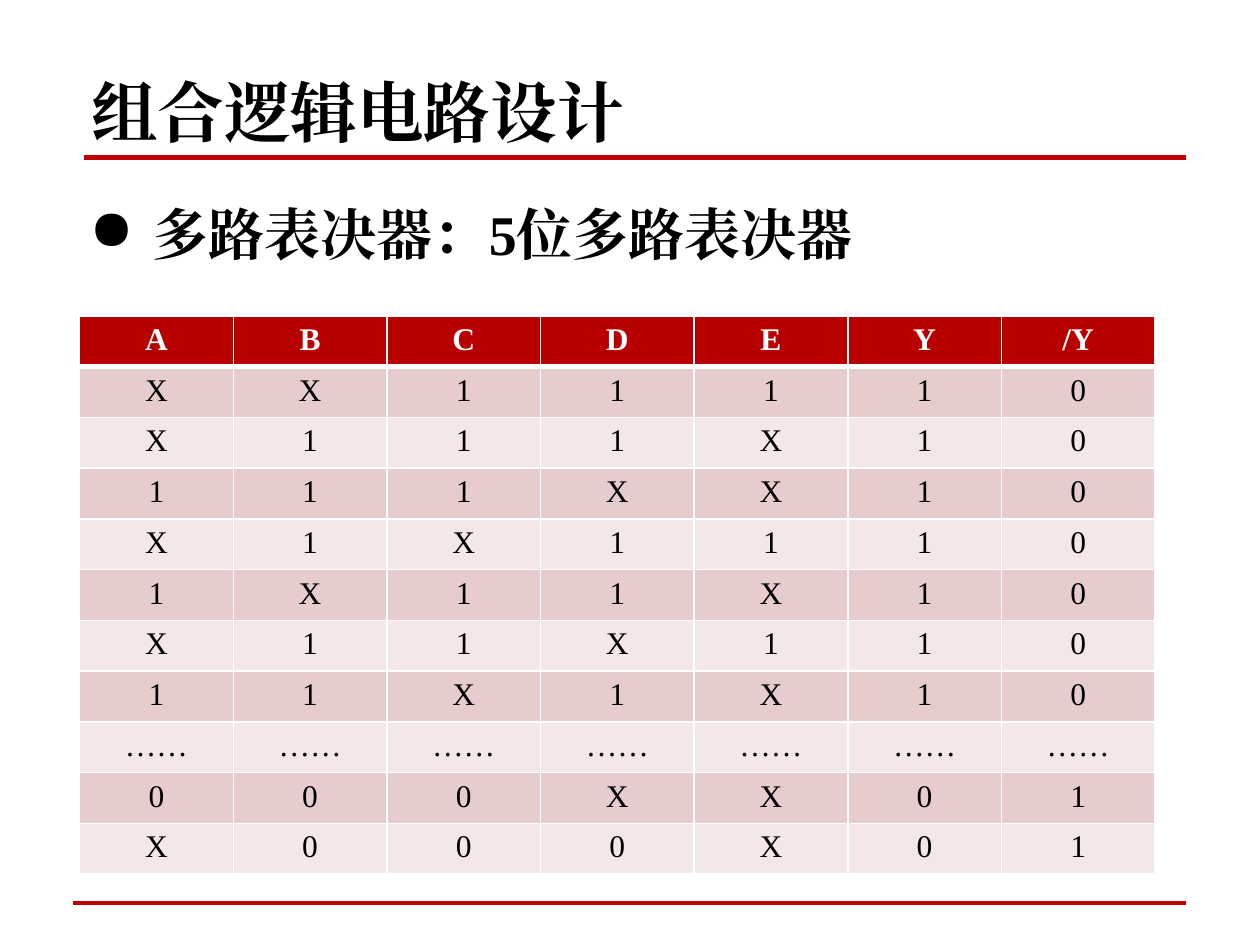
from dataclasses import dataclass

from lxml.etree import SubElement
from pptx import Presentation
from pptx.dml.color import RGBColor as Color
from pptx.enum.lang import MSO_LANGUAGE_ID as Language
from pptx.enum.shapes import MSO_CONNECTOR as Connector
from pptx.enum.text import MSO_ANCHOR as Anchor, MSO_AUTO_SIZE as AutoSize, PP_ALIGN as Align
from pptx.oxml.ns import qn
from pptx.util import Pt


@dataclass(frozen=True)
class Theme:
    latin: str = "Times New Roman"
    heading: str = "Cambria"
    text: str = "000000"
    light: str = "FFFFFF"
    rule: str = "C00000"
    header: str = "B90000"
    bands: tuple = ("E6CCCC", "F3E7E7")
    title_size: float = 38
    bullet_size: float = 32
    table_size: float = 18


def apply(target, values):
    for name, value in values.items():
        setattr(target, name, value)


class SlideBuilder:
    def __init__(self, slide, theme):
        self.slide = slide
        self.theme = theme

    def add_text(self, paragraph, text, size, color, bold, font=None):
        run = paragraph.add_run()
        run.text = text
        name = font or self.theme.latin
        apply(run.font, {"name": name, "size": Pt(size), "bold": bold,
                         "language_id": Language.SIMPLIFIED_CHINESE})
        run.font.color.rgb = Color.from_string(color)
        SubElement(run.font._element, qn("a:ea"), typeface=name)

    def title(self, text, left, top, width, height):
        shape = self.slide.shapes.title
        apply(shape, {"left": Pt(left), "top": Pt(top), "width": Pt(width), "height": Pt(height)})
        frame = shape.text_frame
        apply(frame, {"auto_size": AutoSize.NONE, "vertical_anchor": Anchor.BOTTOM})
        paragraph = frame.paragraphs[0]
        paragraph.alignment = Align.LEFT
        self.add_text(paragraph, text, self.theme.title_size, self.theme.text, True, self.theme.heading)

    def rule(self, left, right, y, weight):
        line = self.slide.shapes.add_connector(Connector.STRAIGHT, Pt(left), Pt(y), Pt(right), Pt(y))
        line.line.color.rgb = Color.from_string(self.theme.rule)
        line.line.width = Pt(weight)
        SubElement(line._element.spPr, qn("a:effectLst"))

    def bullet(self, text, left, top, width, height, indent):
        shape = self.slide.shapes.add_textbox(Pt(left), Pt(top), Pt(width), Pt(height))
        apply(shape.text_frame, {"word_wrap": True, "auto_size": AutoSize.SHAPE_TO_FIT_TEXT})
        paragraph = shape.text_frame.paragraphs[0]
        paragraph.line_spacing = 1.25
        properties = paragraph._p.get_or_add_pPr()
        properties.set("marL", str(Pt(indent)))
        properties.set("indent", str(Pt(-indent)))
        SubElement(properties, qn("a:buChar"), char="●")
        self.add_text(paragraph, text, self.theme.bullet_size, self.theme.text, True)

    def border(self, cell, side, weight):
        line = SubElement(cell._tc.get_or_add_tcPr(), qn(f"a:ln{side}"), w=str(Pt(weight)))
        fill = SubElement(line, qn("a:solidFill"))
        SubElement(fill, qn("a:srgbClr"), val=self.theme.light)

    def cell(self, cell, text, row):
        is_header = row == 0
        weights = {"L": 1, "R": 1, "T": 3 if row == 1 else 1, "B": 3 if is_header else 1}
        for side, weight in weights.items():
            self.border(cell, side, weight)
        cell.fill.solid()
        fill = self.theme.header if is_header else self.theme.bands[(row - 1) % 2]
        cell.fill.fore_color.rgb = Color.from_string(fill)
        paragraph = cell.text_frame.paragraphs[0]
        paragraph.alignment = Align.CENTER
        color = self.theme.light if is_header else self.theme.text
        self.add_text(paragraph, text, self.theme.table_size, color, is_header)

    def table(self, rows, left, top, width, row_height):
        column_count = len(rows[0])
        shape = self.slide.shapes.add_table(
            len(rows), column_count, Pt(left), Pt(top), Pt(width), Pt(row_height * len(rows)))
        table = shape.table
        table.horz_banding = False
        for column in table.columns:
            column.width = Pt(width / column_count)
        for row_index, values in enumerate(rows):
            table.rows[row_index].height = Pt(row_height)
            for column_index, text in enumerate(values):
                self.cell(table.cell(row_index, column_index), text, row_index)


TRUTH_TABLE = [
    ["A", "B", "C", "D", "E", "Y", "/Y"],
    *map(list, ["XX11110", "X111X10", "111XX10", "X1X1110", "1X11X10", "X11X110", "11X1X10"]),
    ["……"] * 7,
    *map(list, ["000XX01", "X000X01"]),
]


def main():
    presentation = Presentation()
    apply(presentation, {"slide_width": Pt(720), "slide_height": Pt(540)})
    slide = presentation.slides.add_slide(presentation.slide_layouts[5])
    builder = SlideBuilder(slide, Theme())
    builder.rule(48, 678, 90, 3)
    builder.rule(42, 678, 516, 2.25)
    builder.bullet("多路表决器：5位多路表决器", 44, 101, 644, 51, 36)
    builder.title("组合逻辑电路设计", 45, 24, 630, 65.5)
    builder.table(TRUTH_TABLE, 45.5, 180.5, 614.6, 29)
    presentation.save("out.pptx")


if __name__ == "__main__":
    main()
